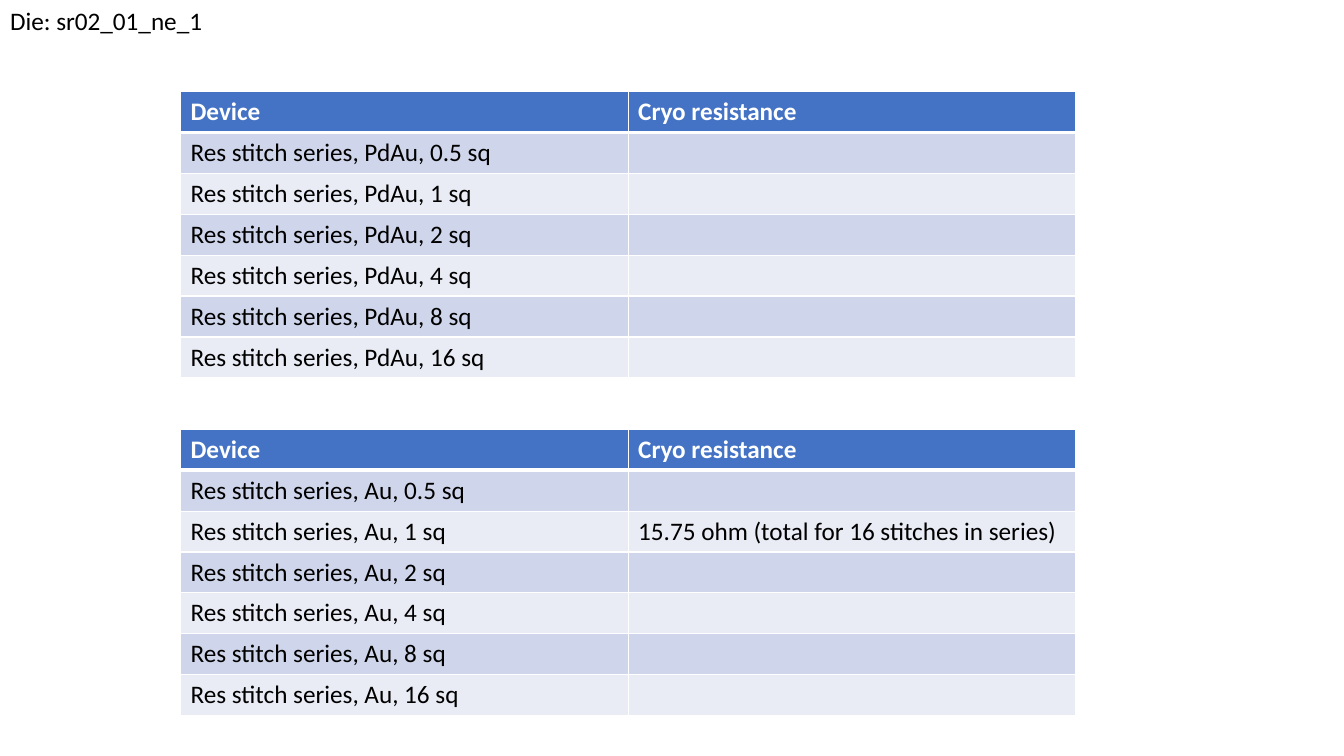
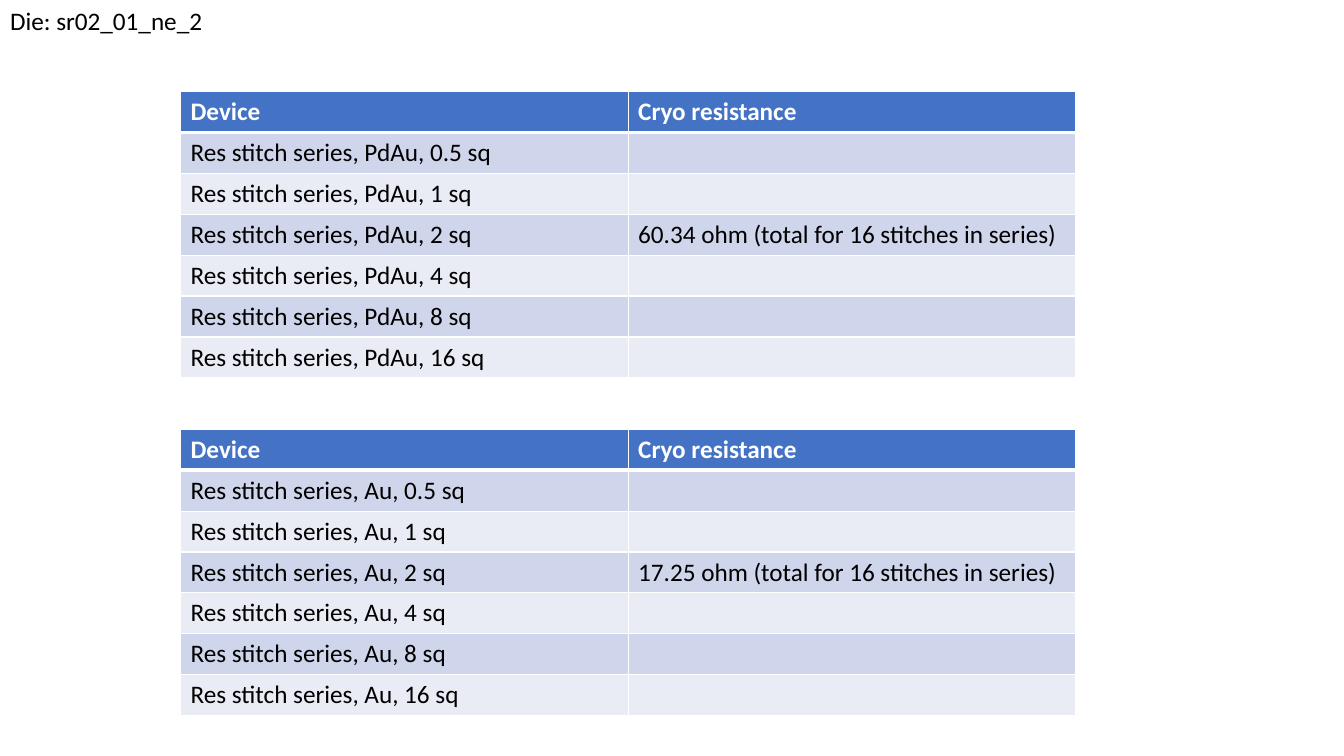
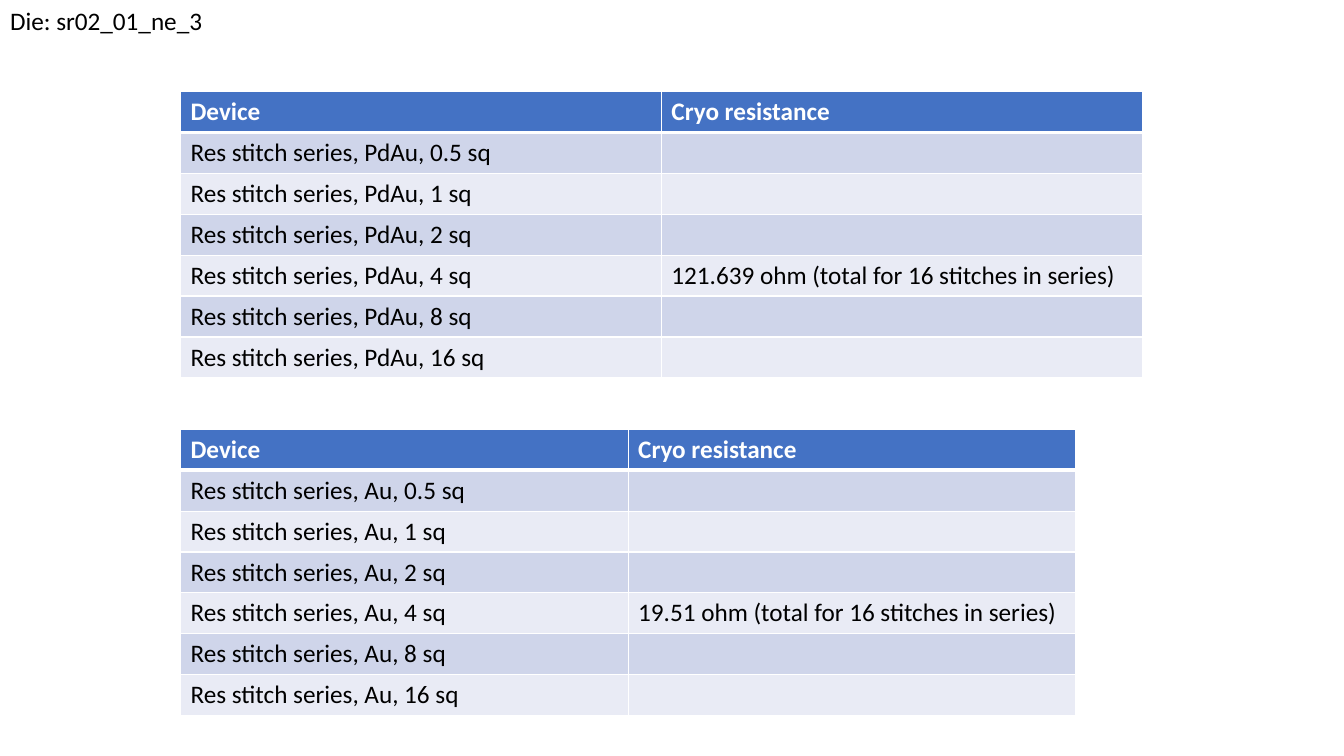
from lxml import etree
from pptx import Presentation
from pptx.dml.color import RGBColor
from pptx.enum.text import MSO_ANCHOR, MSO_AUTO_SIZE, PP_ALIGN
from pptx.oxml.ns import qn
from pptx.util import Inches, Pt

# Content: die name, then per metal the measured (squares, ohms)
HEADERS = ("Device", "Cryo resistance")
SQUARES = ("0.5", "1", "2", "4", "8", "16")
DIES = [
    ("sr02_01_ne_1", {"PdAu": {}, "Au": {"1": "15.75"}}),
    ("sr02_01_ne_2", {"PdAu": {"2": "60.34"}, "Au": {"2": "17.25"}}),
    ("sr02_01_ne_3", {"PdAu": {"4": "121.639"}, "Au": {"4": "19.51"}}),
]

# Shared style
FONT, SIZE = "Calibri", Pt(18)
WHITE = RGBColor(0xFF, 0xFF, 0xFF)
BLACK = RGBColor(0x00, 0x00, 0x00)
HEADER_FILL = RGBColor(0x44, 0x72, 0xC4)
BAND_FILLS = (RGBColor(0xE9, 0xEB, 0xF5), RGBColor(0xCF, 0xD5, 0xEA))
THIN, THICK = Pt(1), Pt(3)

# Layout
TABLE_LEFT = Inches(1.79)
TABLE_TOPS = {"PdAu": Inches(0.91), "Au": Inches(4.26)}
TABLE_HEIGHT = Inches(2.84)
COLUMN, WIDE_COLUMN = Inches(4.44), Inches(4.77)
LONG_READING = 6  # readings with more characters need the wide column


def style_text(paragraph, color, bold=False):
    font = paragraph.font
    font.name, font.size, font.bold = FONT, SIZE, bold
    font.color.rgb = color


def add_border(cell, side, width):
    line = etree.SubElement(cell._tc.get_or_add_tcPr(), qn("a:ln" + side), w=str(width))
    fill = etree.SubElement(line, qn("a:solidFill"))
    etree.SubElement(fill, qn("a:srgbClr"), val=str(WHITE))


def add_title(slide, text):
    title = slide.shapes.title
    title.left, title.top, title.width, title.height = 0, 0, Inches(2.13), Inches(0.4)
    frame = title.text_frame
    frame.text = text
    frame.word_wrap = False
    frame.auto_size = MSO_AUTO_SIZE.SHAPE_TO_FIT_TEXT
    frame.vertical_anchor = MSO_ANCHOR.TOP
    frame.paragraphs[0].alignment = PP_ALIGN.LEFT
    style_text(frame.paragraphs[0], BLACK)


def add_resistance_table(slide, metal, readings):
    rows = [HEADERS]
    for squares in SQUARES:
        ohms = readings.get(squares)
        result = f"{ohms} ohm (total for 16 stitches in series)" if ohms else ""
        rows.append((f"Res stitch series, {metal}, {squares} sq", result))

    is_long = any(len(ohms) > LONG_READING for ohms in readings.values())
    column = WIDE_COLUMN if is_long else COLUMN
    table = slide.shapes.add_table(
        len(rows), len(HEADERS), TABLE_LEFT, TABLE_TOPS[metal],
        column * len(HEADERS), TABLE_HEIGHT).table

    for r, row in enumerate(rows):
        header = r == 0
        for c, text in enumerate(row):
            cell = table.cell(r, c)
            # Borders come before the fill in the cell's properties
            for side in "LRTB":
                under_header = (r, side) in ((0, "B"), (1, "T"))
                add_border(cell, side, THICK if under_header else THIN)
            cell.fill.solid()
            cell.fill.fore_color.rgb = HEADER_FILL if header else BAND_FILLS[r % 2]
            cell.text = text
            style_text(cell.text_frame.paragraphs[0], WHITE if header else BLACK, header)


# Build one slide per die
prs = Presentation()
prs.slide_width, prs.slide_height = Inches(13.33), Inches(7.5)
title_only = prs.slide_layouts.get_by_name("Title Only")
for die, metals in DIES:
    slide = prs.slides.add_slide(title_only)
    add_title(slide, f"Die: {die}")
    for metal, readings in metals.items():
        add_resistance_table(slide, metal, readings)

prs.save("out.pptx")
